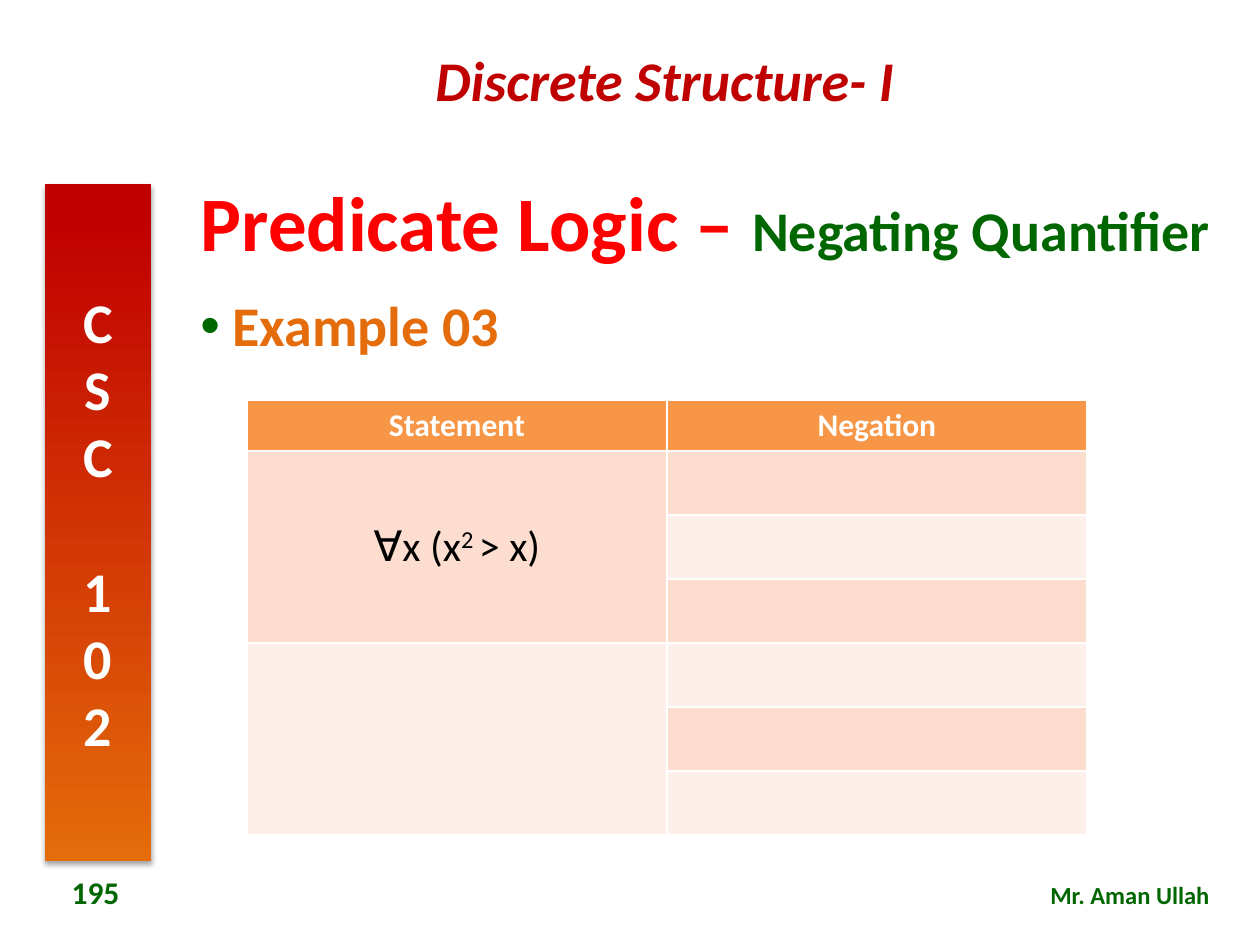
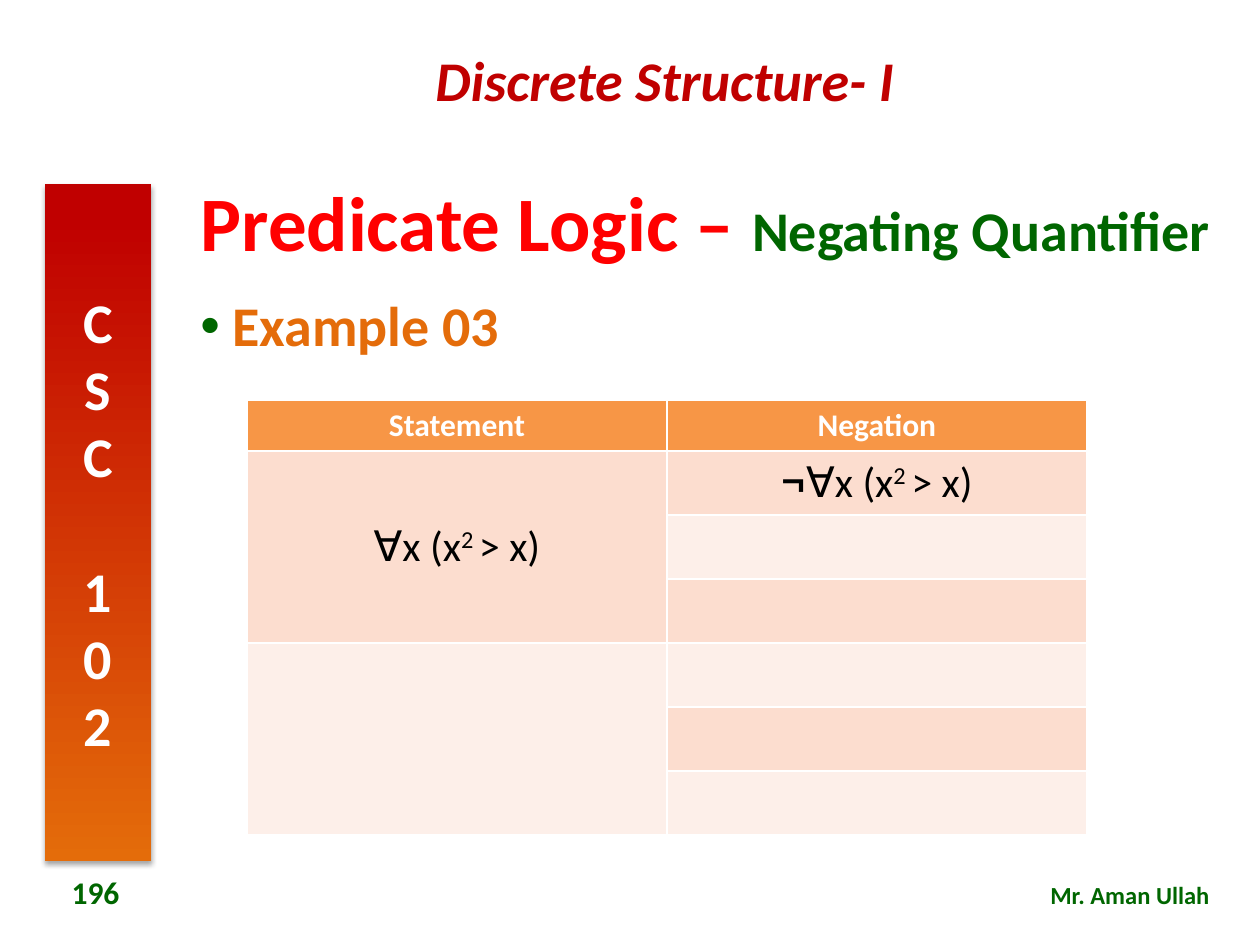
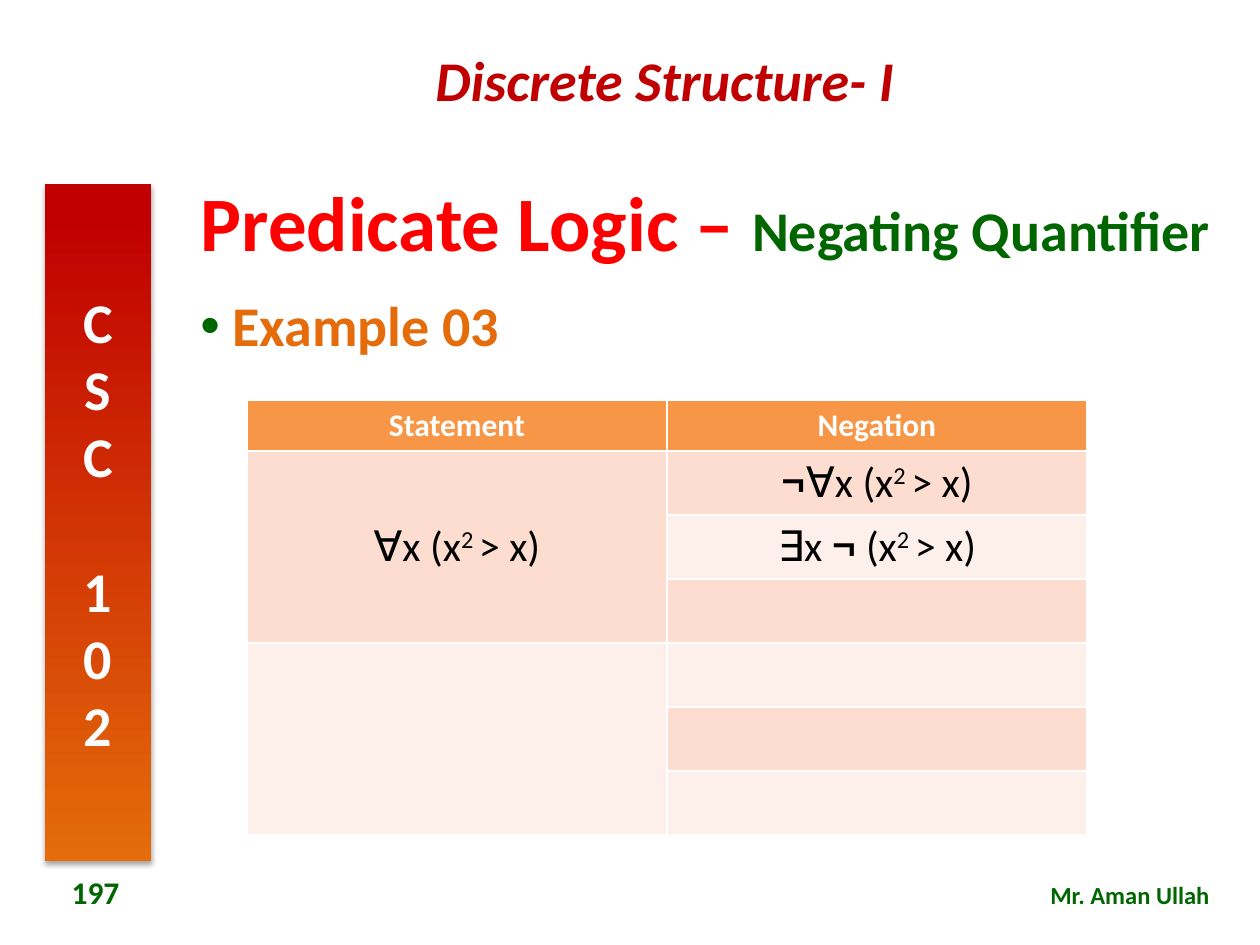
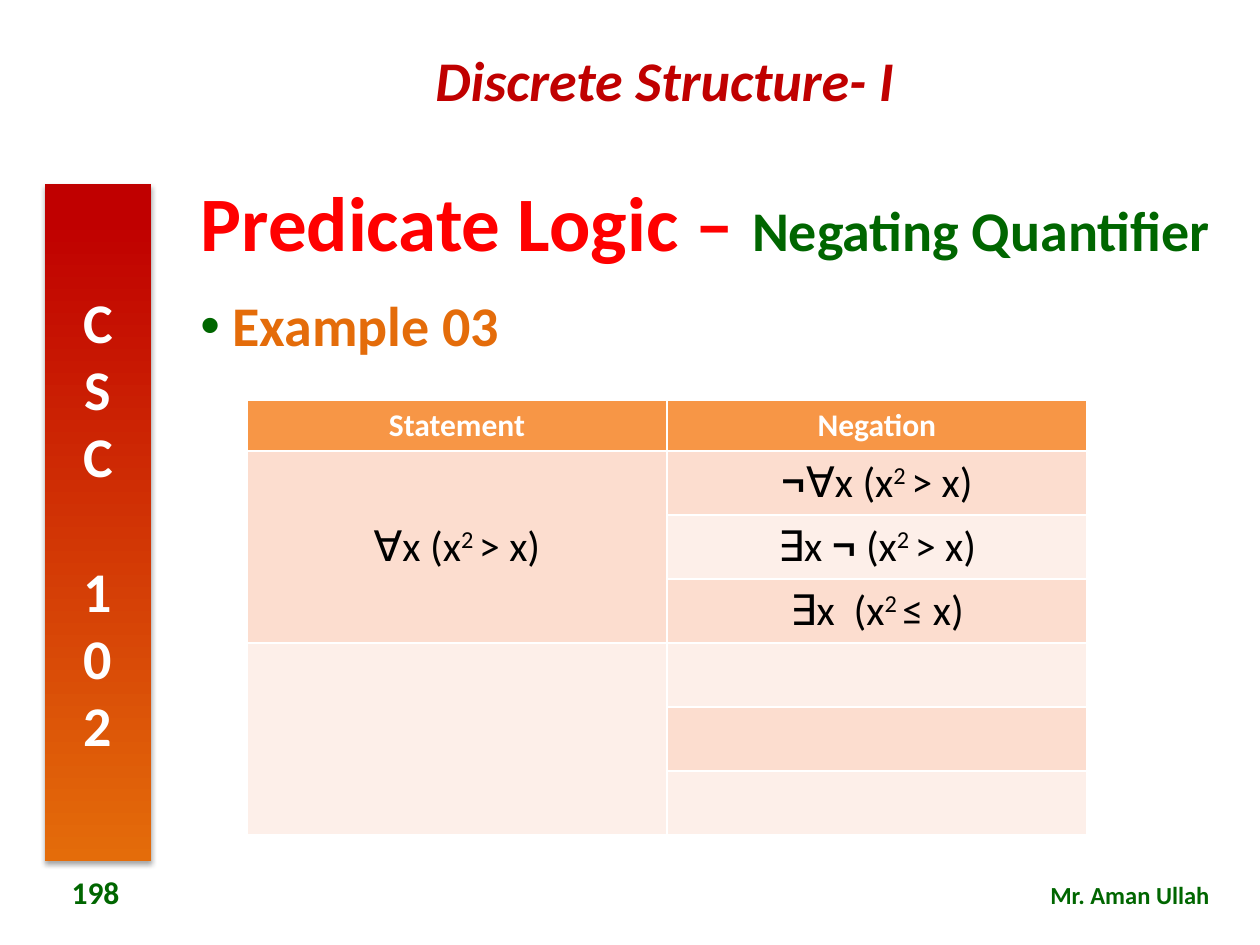
"""Build four slides that reveal the negation of a quantified statement."""
from lxml import etree
from pptx import Presentation
from pptx.dml.color import RGBColor
from pptx.enum.shapes import MSO_SHAPE
from pptx.enum.text import MSO_ANCHOR, MSO_AUTO_SIZE, PP_ALIGN
from pptx.oxml.ns import qn
from pptx.util import Pt

RECT = MSO_SHAPE.RECTANGLE
TOP, MIDDLE = MSO_ANCHOR.TOP, MSO_ANCHOR.MIDDLE
LEFT, CENTER, RIGHT = PP_ALIGN.LEFT, PP_ALIGN.CENTER, PP_ALIGN.RIGHT
JUSTIFY = PP_ALIGN.JUSTIFY
FIXED = MSO_AUTO_SIZE.NONE

SCALE = 914400 / 126
HEX = {
    "crimson": "C00000", "red": "FF0000", "orange": "E46C0A",
    "green": "006600", "white": "FFFFFF", "black": "000000",
    "head": "F79646", "dark": "FCDDCF", "light": "FDEFE9",
}

NOT = {"face": "Cambria", "bold": True}
SQUARE = ("2 ", {"base": 30})
GREATER = [("(x", {}), SQUARE, ("> x)", {})]
CLAIM = [("∀x (x", {}), *GREATER[1:]]
STEPS = [
    [("¬", NOT), *CLAIM],
    [("∃x ", {}), ("¬ ", NOT), *GREATER],
    [("∃x  (x", {}), SQUARE, ("≤ x)", {})],
]
FIRST = 195


def px(value):
    """Turn a length in px into EMU."""
    return round(value * SCALE)


def paint(name):
    """Look up a colour by name."""
    return RGBColor.from_string(HEX[name])


def write(para, text, size=18, color="black", bold=False, slant=False,
          face="Calibri", base=0, align=None):
    """Add one formatted run to a paragraph."""
    run = para.add_run()
    run.text = text
    font = run.font
    font.name, font.size = face, Pt(size)
    font.bold, font.italic = bold, slant
    font.color.rgb = paint(color)
    if base:
        run._r.get_or_add_rPr().set("baseline", str(base * 1000))
    if align is not None:
        para.alignment = align


class Deck:
    """Hold the shared style and the current slide."""

    def __init__(self):
        """Open an empty deck of 10 by 7.5 inches."""
        self.prs = Presentation()
        self.prs.slide_width, self.prs.slide_height = px(1260), px(945)
        self.slide = None

    def start(self, number):
        """Add a slide with its band, course name and footers."""
        self.slide = self.prs.slides.add_slide(self.prs.slide_layouts[5])
        self.label((266, 39, 798, 81), "Discrete Structure- I", size=32,
                   color="crimson", bold=True, slant=True, align=CENTER)
        self.band((45, 184, 106, 677), "CSC 102")
        self.label((857, 874, 365, 43), "Mr. Aman Ullah", size=14,
                   color="green", bold=True, align=RIGHT)
        self.label((30, 867, 131, 50), str(number), anchor=MIDDLE,
                   color="green", bold=True, align=CENTER)

    def label(self, area, text, anchor=TOP, **style):
        """Add a text box and return its paragraph."""
        frame = self.slide.shapes.add_textbox(*map(px, area)).text_frame
        frame.word_wrap = True
        frame.vertical_anchor = anchor
        para = frame.paragraphs[0]
        write(para, text, **style)
        return para

    def band(self, area, text):
        """Add the side band with stacked letters and a soft shadow."""
        shape = self.slide.shapes.add_shape(RECT, *map(px, area))
        shape.fill.gradient()
        shape.fill.gradient_angle = 90
        stops = zip(shape.fill.gradient_stops,
                    (("orange", 0), ("crimson", 0.95)))
        for stop, (color, place) in stops:
            stop.color.rgb, stop.position = paint(color), place
        shape.line.fill.background()
        shape.shadow.inherit = False
        effects = shape._element.spPr.find(qn("a:effectLst"))
        shade = etree.SubElement(
            effects, qn("a:outerShdw"), blurRad=str(Pt(3.1)),
            dist=str(Pt(1.8)), dir="5400000", rotWithShape="0")
        tone = etree.SubElement(shade, qn("a:srgbClr"), val=HEX["black"])
        etree.SubElement(tone, qn("a:alpha"), val="35000")
        frame = shape.text_frame
        frame._txBody.bodyPr.set("vert", "wordArtVert")
        write(frame.paragraphs[0], text, size=32, color="white", bold=True,
              align=CENTER)

    def title(self, area, main, topic):
        """Place the title and write it in two sizes."""
        shape = self.slide.shapes.title
        shape.left, shape.top, shape.width, shape.height = map(px, area)
        frame = shape.text_frame
        frame.auto_size, frame.vertical_anchor = FIXED, MIDDLE
        para = frame.paragraphs[0]
        para.line_spacing = 0.9
        write(para, main, size=44, color="red", bold=True, align=LEFT)
        write(para, topic, size=32, color="green", bold=True)

    def bullet(self, area, text):
        """Add a bulleted line."""
        para = self.label(area, text, size=32, color="orange", bold=True,
                          align=JUSTIFY)
        para.line_spacing = 0.9
        props = para._p.get_or_add_pPr()
        props.set("marL", str(px(32)))
        props.set("indent", str(-px(32)))
        tint = etree.SubElement(props, qn("a:buClr"))
        etree.SubElement(tint, qn("a:srgbClr"), val=HEX["green"])
        etree.SubElement(props, qn("a:buFont"), typeface="Arial")
        etree.SubElement(props, qn("a:buChar"), char="•")

    def cell(self, cell, runs, **style):
        """Write a list of runs into a table cell."""
        para = cell.text_frame.paragraphs[0]
        for text, extra in runs:
            write(para, text, align=CENTER, **style, **extra)

    def table(self, area, heads, claim, steps):
        """Add the table of a statement and its negation so far."""
        grid = self.slide.shapes.add_table(7, 2, *map(px, area)).table
        grid.horz_banding = False
        for index, row in enumerate(grid.rows):
            row.height = px(64 if index else 51)
            tone = ("light", "dark")[index % 2] if index else "head"
            for cell in row.cells:
                cell.fill.solid()
                cell.fill.fore_color.rgb = paint(tone)
        for top in (1, 4):
            grid.cell(top, 0).merge(grid.cell(top + 2, 0))
        for col, head in enumerate(heads):
            self.cell(grid.cell(0, col), [(head, {})], color="white",
                      bold=True)
        grid.cell(1, 0).vertical_anchor = MIDDLE
        self.cell(grid.cell(1, 0), claim, size=24)
        for index, step in enumerate(steps, 1):
            self.cell(grid.cell(index, 1), step, size=24)


def main():
    """Build one slide for each step and save the deck."""
    deck = Deck()
    for count in range(len(STEPS) + 1):
        deck.start(FIRST + count)
        deck.title((188, 171, 1057, 112), "Predicate Logic – ",
                   "Negating Quantifier")
        deck.bullet((188, 292, 1057, 619), "Example 03")
        deck.table((247, 400, 840, 435), ("Statement", "Negation"), CLAIM,
                   STEPS[:count])
    deck.prs.save("out.pptx")


if __name__ == "__main__":
    main()
